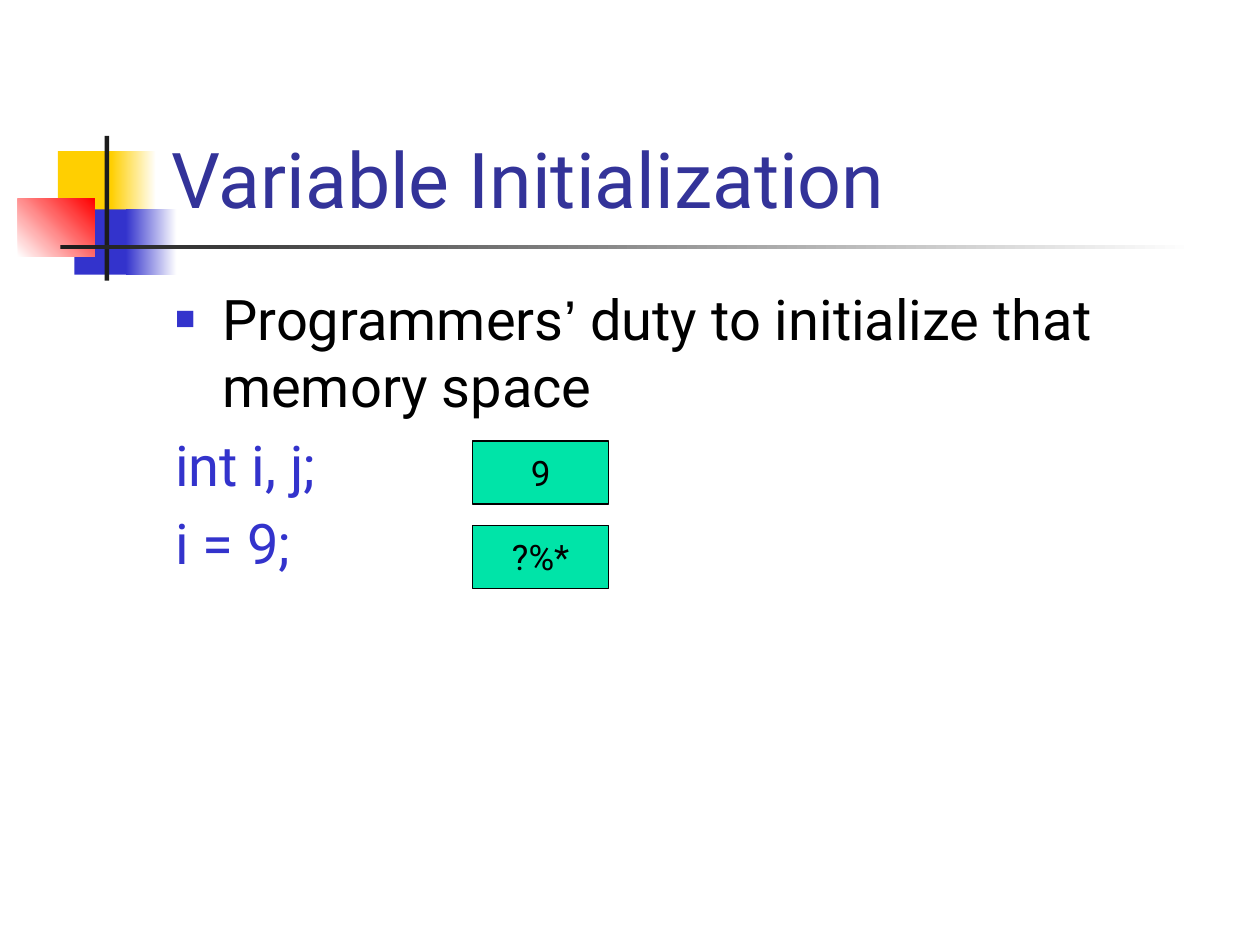
import pptx
import pptx.util
import pptx.dml.color
import pptx.enum.shapes
import pptx.enum.text
import pptx.oxml.ns
import lxml.etree

Cm = pptx.util.Cm
Pt = pptx.util.Pt
ANCHOR = pptx.enum.text.MSO_ANCHOR
ALIGN = pptx.enum.text.PP_ALIGN
FONT = "Roboto"
BLUE, BLACK, DARK, YELLOW, WHITE = "3333CC", "000000", "1C1C1C", "FFCF01", "FFFFFF"

ORNAMENTS = [
    ((1.17, 3.05, 1.22, 1.32), [YELLOW], 0),
    ((2.24, 3.05, 0.91, 1.32), [YELLOW, WHITE], 0),
    ((1.5, 4.22, 1.17, 1.32), [BLUE], 0),
    ((2.54, 4.22, 1.02, 1.32), [BLUE, WHITE], 0),
    ((0.36, 4.01, 1.55, 1.17), [WHITE, "FF0000"], 45),
    ((2.11, 2.74, 0.09, 2.92), [DARK], 0),
    ((1.22, 4.94, 22.86, 0.09), [DARK, WHITE], 0),
]


def color(hex_string):
    return pptx.dml.color.RGBColor.from_string(hex_string)


def apply(target, values):
    for name, value in values.items():
        setattr(target, name, value)


def place(shape, box):
    apply(shape, dict(zip(("left", "top", "width", "height"), map(Cm, box))))


def add_run(paragraph, text, size, hex_string, font=FONT):
    run = paragraph.add_run()
    run.text = text
    apply(run.font, {"name": font, "size": Pt(size)})
    run.font.color.rgb = color(hex_string)


def add_rectangle(slide, box, colors, angle=0):
    kind = pptx.enum.shapes.MSO_SHAPE.RECTANGLE
    shape = slide.shapes.add_shape(kind, *map(Cm, box))
    shape.shadow.inherit = False
    shape.line.fill.background()
    if len(colors) == 1:
        shape.fill.solid()
        shape.fill.fore_color.rgb = color(colors[0])
    else:
        shape.fill.gradient()
        shape.fill.gradient_angle = angle
        for stop, hex_string in zip(shape.fill.gradient_stops, colors):
            stop.color.rgb = color(hex_string)
    return shape


def add_memory_cell(slide, box, text):
    shape = add_rectangle(slide, box, ["00E4A8"])
    shape.line.color.rgb = color(BLACK)
    shape.line.width = Pt(0.75)
    apply(shape.text_frame, {"word_wrap": False, "vertical_anchor": ANCHOR.MIDDLE})
    paragraph = shape.text_frame.paragraphs[0]
    paragraph.alignment = ALIGN.CENTER
    add_run(paragraph, text, 20, BLACK)


def set_title(slide, box, text):
    title = slide.shapes.title
    place(title, box)
    apply(title.text_frame, {
        "word_wrap": True,
        "vertical_anchor": ANCHOR.BOTTOM,
        "auto_size": pptx.enum.text.MSO_AUTO_SIZE.NONE,
    })
    paragraph = title.text_frame.paragraphs[0]
    paragraph.alignment = ALIGN.LEFT
    add_run(paragraph, text, 44, "333399")


def set_bullet(properties, character):
    qn = pptx.oxml.ns.qn
    bullet_color = lxml.etree.SubElement(properties, qn("a:buClr"))
    lxml.etree.SubElement(bullet_color, qn("a:srgbClr"), val=BLUE)
    lxml.etree.SubElement(properties, qn("a:buSzPct"), val="60000")
    lxml.etree.SubElement(properties, qn("a:buFont"), typeface="Arial")
    lxml.etree.SubElement(properties, qn("a:buChar"), char=character)


def add_body(slide, box, items):
    frame = slide.shapes.add_textbox(*map(Cm, box)).text_frame
    frame.word_wrap = True
    for index, (runs, hex_string, bullet) in enumerate(items):
        paragraph = frame.add_paragraph() if index else frame.paragraphs[0]
        paragraph.space_before = Pt(6.4)
        properties = paragraph._p.get_or_add_pPr()
        properties.set("marL", str(Cm(0.95)))
        properties.set("indent", str(-Cm(0.95)))
        if bullet:
            set_bullet(properties, bullet)
        for text, font in runs:
            add_run(paragraph, text, 32, hex_string, font)


def main():
    presentation = pptx.Presentation()
    apply(presentation, {"slide_width": Cm(25.4), "slide_height": Cm(19.05)})
    slide = presentation.slides.add_slide(presentation.slide_layouts[5])
    for box, colors, angle in ORNAMENTS:
        add_rectangle(slide, box, colors, angle)
    set_title(slide, (3.2, 0.58, 21.64, 4.06), "Variable Initialization")
    duty = [
        ("Programmers", FONT),
        ("\u2019", "Arial"),
        (" duty to initialize that memory space", FONT),
    ]
    add_body(slide, (3.28, 5.61, 21.59, 11.43), [
        (duty, BLACK, "\u25a0"),
        ([("int i, j;", FONT)], BLUE, None),
        ([("i = 9;", FONT)], BLUE, None),
    ])
    for row, text in enumerate(("9", "?%*")):
        add_memory_cell(slide, (9.53, 8.89 + row * 1.7, 2.74, 1.27), text)
    presentation.save("out.pptx")


main()
